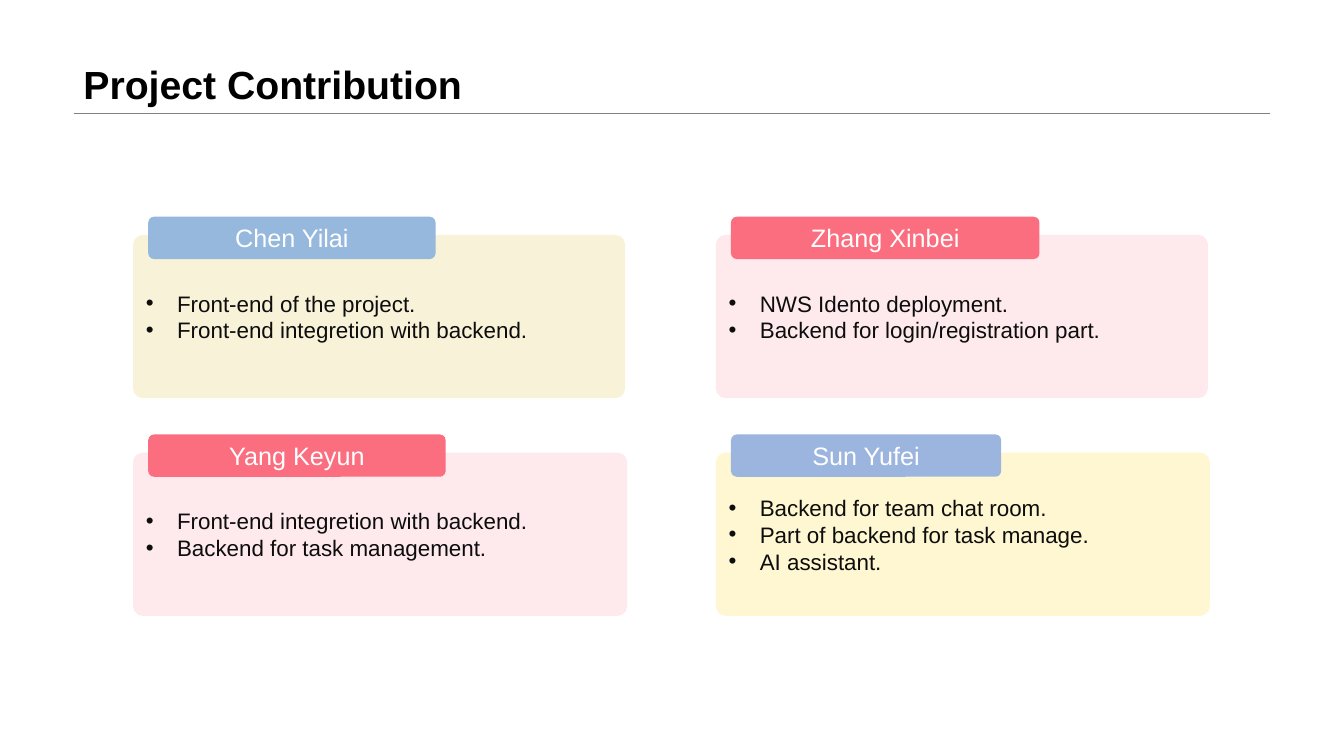
from dataclasses import dataclass

from lxml.etree import SubElement
from pptx import Presentation
from pptx.dml.color import RGBColor as Color
from pptx.enum.shapes import MSO_CONNECTOR as Link, MSO_SHAPE as Kind
from pptx.enum.text import MSO_ANCHOR as Anchor, PP_ALIGN as Align
from pptx.oxml.ns import qn
from pptx.util import Pt

PX = 9144


@dataclass(frozen=True)
class Theme:
    font: str = "Arial"
    black: str = "000000"
    ink: str = "0D0D0D"
    white: str = "FFFFFF"
    rule: str = "808080"
    rose: str = "FB6E80"
    gold: str = "D2AD00"
    cream: str = "FFF7D1"
    sky: str = "95B8DC"
    blue: str = "9CB5DE"
    head: int = 28
    name: int = 18
    body: int = 16


class Board:
    """Draws styled elements on one slide, with lengths in px."""

    def __init__(self, deck, theme):
        self.theme = theme
        self.slide = deck.slides.add_slide(deck.slide_layouts[6])
        self.shapes = self.slide.shapes

    def fill_text(self, frame, lines, size, color, align=Align.LEFT, bold=False):
        frame.word_wrap = True
        for i, line in enumerate(lines):
            para = frame.paragraphs[0] if i == 0 else frame.add_paragraph()
            para.text = line
            para.alignment = align
            font = para.font
            font.name, font.size, font.bold = self.theme.font, Pt(size), bold
            font.color.rgb = Color.from_string(color)

    def title(self, text, x, y, w, h):
        box = self.shapes.add_textbox(x * PX, y * PX, w * PX, h * PX)
        frame = box.text_frame
        frame.vertical_anchor = Anchor.BOTTOM
        self.fill_text(frame, [text], self.theme.head, self.theme.black, bold=True)
        frame.paragraphs[0].line_spacing = 0.9

    def rule(self, x, y, w):
        line = self.shapes.add_connector(
            Link.STRAIGHT, x * PX, y * PX, (x + w) * PX, y * PX)
        line.line.color.rgb = Color.from_string(self.theme.rule)
        line.line.width = Pt(0.25)
        SubElement(line._element.spPr, qn("a:effectLst"))

    def panel(self, x, y, w, h, curve, color, alpha=100):
        shape = self.shapes.add_shape(
            Kind.ROUNDED_RECTANGLE, x * PX, y * PX, w * PX, h * PX)
        shape.adjustments[0] = curve
        shape.shadow.inherit = False
        shape.line.fill.background()
        shape.fill.solid()
        shape.fill.fore_color.rgb = Color.from_string(color)
        if alpha < 100:
            tint = shape._element.spPr.find(".//" + qn("a:srgbClr"))
            SubElement(tint, qn("a:alpha"), val=str(alpha * 1000))
        shape.text_frame.vertical_anchor = Anchor.MIDDLE
        return shape.text_frame

    def bullets(self, frame, items):
        self.fill_text(frame, items, self.theme.body, self.theme.ink)
        dent = 31 * PX
        for para in frame.paragraphs:
            props = para._p.get_or_add_pPr()
            props.set("marL", str(dent))
            props.set("indent", str(-dent))
            font = SubElement(props, qn("a:buFont"), typeface=self.theme.font)
            mark = SubElement(props, qn("a:buChar"), char="•")
            props.insert(0, font)
            props.insert(1, mark)

    def card(self, x, y, w, fill, alpha, name, tab, tone, items):
        self.bullets(self.panel(x, y, w, 162, 0.06, fill, alpha), items)
        label = self.panel(x + 15, y - 18, tab, 42, 0.137, tone)
        self.fill_text(label, [name], self.theme.name, self.theme.white,
                       Align.CENTER)


def main():
    deck = Presentation()
    deck.slide_width, deck.slide_height = 1333 * PX, 750 * PX
    theme = Theme()
    board = Board(deck, theme)
    board.rule(73, 112, 1187)
    board.title("Project Contribution", 73, 0, 1187, 112)

    cards = [
        (theme.gold, 15, "Chen Yilai", 285, theme.sky,
         ["Front-end of the project.", "Front-end integretion with backend."]),
        (theme.rose, 15, "Zhang Xinbei", 306, theme.rose,
         ["NWS Idento deployment.", "Backend for login/registration part."]),
        (theme.rose, 15, "Yang Keyun", 295, theme.rose,
         ["Front-end integretion with backend.", "Backend for task management."]),
        (theme.cream, 100, "Sun Yufei", 268, theme.blue,
         ["Backend for team chat room.", "Part of backend for task manage.",
          "AI assistant."]),
    ]
    for i, card in enumerate(cards):
        row, col = divmod(i, 2)
        board.card(132 + 578 * col, 233 + 216 * row, 488 + 2 * row, *card)

    deck.save("out.pptx")


if __name__ == "__main__":
    main()
